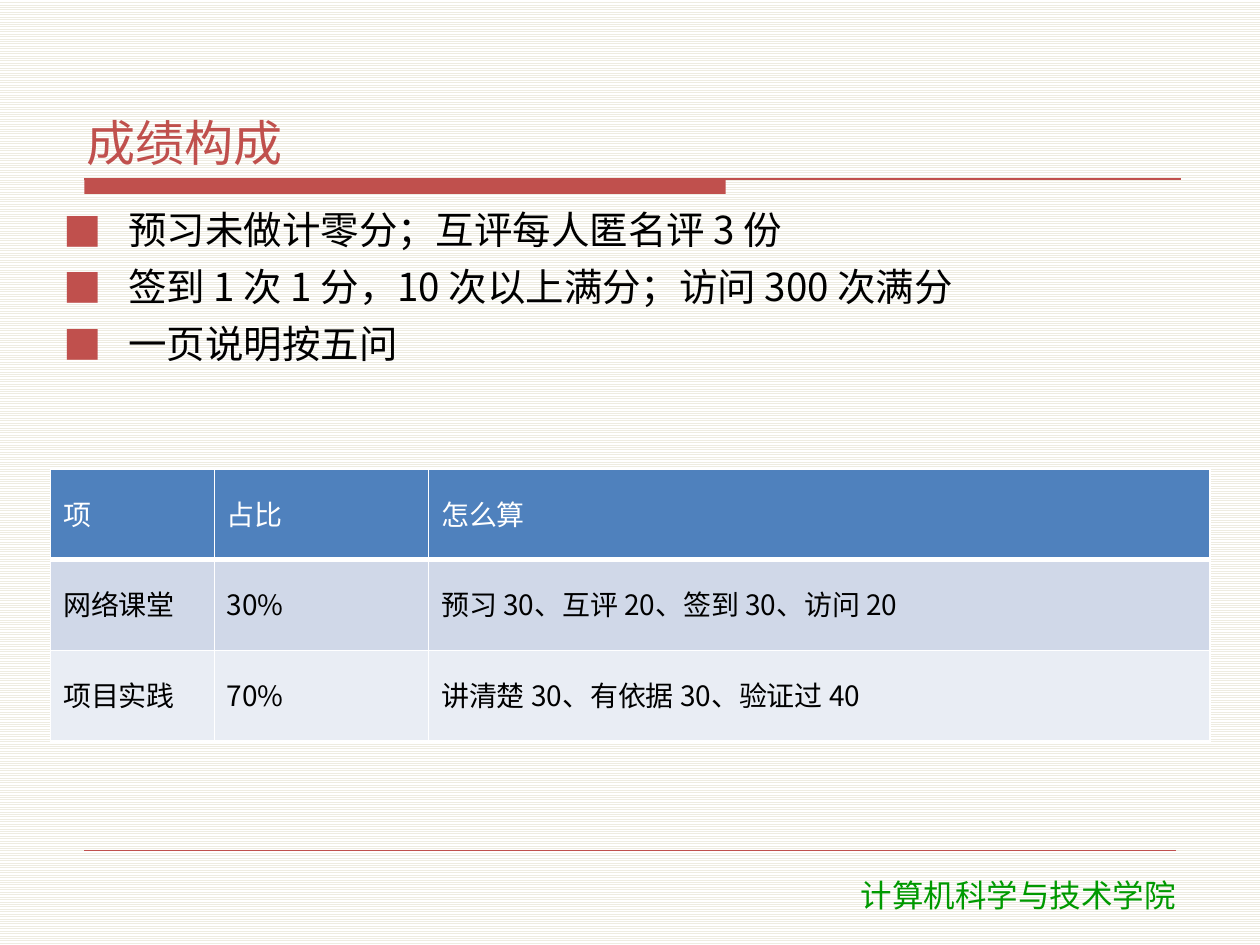
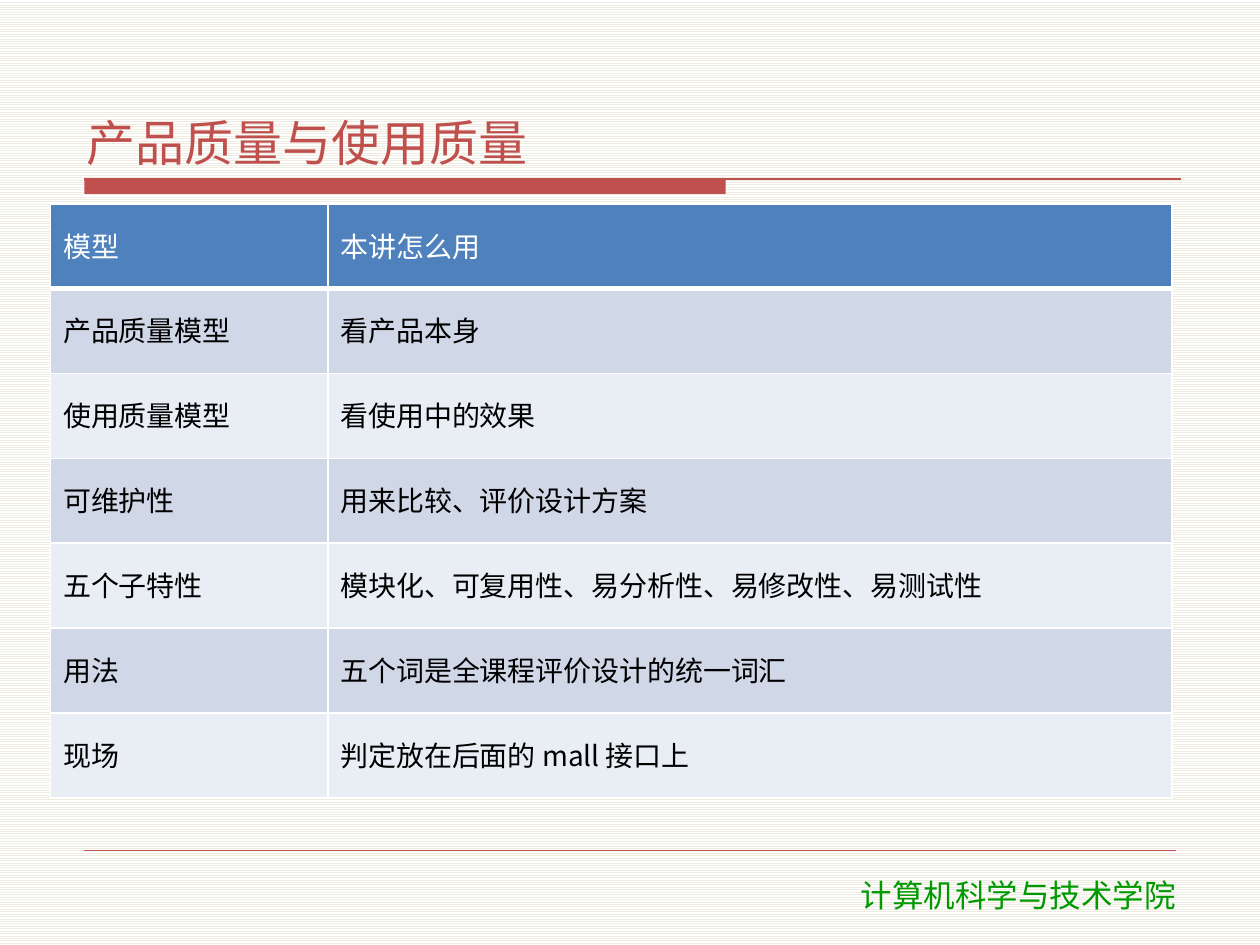
"""Build two course slides on grading and on quality models."""
import lxml.etree
import pptx
import pptx.dml.color
import pptx.enum.dml
import pptx.enum.shapes
import pptx.enum.text
import pptx.oxml.ns
import pptx.util

Cm = pptx.util.Cm
Pt = pptx.util.Pt
qn = pptx.oxml.ns.qn
ANCHOR = pptx.enum.text.MSO_ANCHOR
ALIGN = pptx.enum.text.PP_ALIGN

COLORS = {
    "accent": "C0504D",
    "stripe": "EEECE1",
    "white": "FFFFFF",
    "black": "000000",
    "school": "009900",
    "header": "4F81BD",
    "odd": "D0D8E8",
    "even": "E9EDF4",
}
FONT = "Noto Sans CJK SC"
FOOTER_FONT = "DejaVu Sans"


def rgb(name):
    return pptx.dml.color.RGBColor.from_string(COLORS[name])


def add_node(parent, tag, **attributes):
    return lxml.etree.SubElement(parent, qn(tag), attributes)


def add_color(parent, name):
    add_node(parent, "a:srgbClr", val=COLORS[name])


def write_text(frame, text, size=16, color="black", font=FONT, align=ALIGN.LEFT,
               anchor=ANCHOR.TOP, before=0, after=0, spacing=None, indent=None):
    frame.word_wrap = True
    frame.vertical_anchor = anchor
    for index, line in enumerate(text.split("\n")):
        paragraph = frame.add_paragraph() if index else frame.paragraphs[0]
        paragraph.alignment = align
        paragraph.space_before = Pt(before if index else 0)
        paragraph.space_after = Pt(after)
        if spacing:
            paragraph.line_spacing = spacing
        if indent:
            props = paragraph._p.get_or_add_pPr()
            props.set("marL", str(indent))
            props.set("indent", str(-indent))
            add_color(add_node(props, "a:buClr"), "accent")
            add_node(props, "a:buFont", typeface=FONT)
            add_node(props, "a:buChar", char="■")
        run = paragraph.add_run()
        run.text = line
        run.font.size = Pt(size)
        run.font.bold = False
        run.font.color.rgb = rgb(color)
        run.font.name = font
        add_node(run._r.get_or_add_rPr(), "a:ea", typeface=font)


class Deck:
    """Hold the presentation style and the current slide."""

    def __init__(self):
        self.prs = pptx.Presentation()
        self.prs.slide_width = Cm(25.4)
        self.prs.slide_height = Cm(19.05)
        self.slide = None

    def start_slide(self, title):
        self.slide = self.prs.slides.add_slide(self.prs.slide_layouts[6])
        background = self.slide.background.fill
        background.patterned()
        background.pattern = pptx.enum.dml.MSO_PATTERN.LIGHT_HORIZONTAL
        background.fore_color.rgb = rgb("stripe")
        background.back_color.rgb = rgb("white")
        self.bar(1.7, 3.61, 12.93, 0.3)
        self.rule(1.7, 23.8, 3.61, 0.75)
        self.rule(1.7, 23.7, 17.15, 0.25)
        self.text("计算机科学与技术学院", 15.42, 17.53, 10.21, 1.02, (0.25, 0.13),
                  size=18, color="school", font=FOOTER_FONT, align=ALIGN.CENTER)
        self.text(title, 1.6, 0.84, 22.23, 2.67, size=28, color="accent",
                  anchor=ANCHOR.BOTTOM, after=2)

    def bar(self, left, top, width, height):
        bar = self.slide.shapes.add_shape(
            pptx.enum.shapes.MSO_SHAPE.RECTANGLE,
            Cm(left), Cm(top), Cm(width), Cm(height))
        bar.shadow.inherit = False
        bar.fill.solid()
        bar.fill.fore_color.rgb = rgb("accent")
        bar.line.fill.background()

    def rule(self, left, right, y, weight):
        rule = self.slide.shapes.add_connector(
            pptx.enum.shapes.MSO_CONNECTOR.STRAIGHT,
            Cm(left), Cm(y), Cm(right), Cm(y))
        rule.line.color.rgb = rgb("accent")
        rule.line.width = Pt(weight)
        add_node(rule._element.spPr, "a:effectLst")

    def text(self, text, left, top, width, height, inset=(0.15, 0.05), **text_format):
        box = self.slide.shapes.add_textbox(Cm(left), Cm(top), Cm(width), Cm(height))
        frame = box.text_frame
        frame.margin_left = frame.margin_right = Cm(inset[0])
        frame.margin_top = frame.margin_bottom = Cm(inset[1])
        write_text(frame, text, **text_format)

    def bullets(self, text, left, top, width, height):
        self.text(text, left, top, width, height, size=22, before=4, after=2,
                  indent=Cm(1.3))

    def table(self, rows, left, top, widths, row_height):
        table = self.slide.shapes.add_table(
            len(rows), len(widths), Cm(left), Cm(top),
            Cm(sum(widths)), Cm(row_height * len(rows))).table
        table.horz_banding = False
        for column, width in zip(table.columns, widths):
            column.width = Cm(width)
        for number, row in enumerate(rows):
            table.rows[number].height = Cm(row_height)
            fill = ("odd" if number % 2 else "even") if number else "header"
            for column, text in enumerate(row):
                self.cell(table.cell(number, column), text, fill)

    def cell(self, cell, text, fill):
        is_header = fill == "header"
        props = cell._tc.get_or_add_tcPr()
        for side in "LRTB":
            weight = 3 if is_header and side == "B" else 1
            border = add_node(props, f"a:ln{side}", w=str(Pt(weight)))
            add_color(add_node(border, "a:solidFill"), "white")
        cell.fill.solid()
        cell.fill.fore_color.rgb = rgb(fill)
        write_text(cell.text_frame, text, color="white" if is_header else "black",
                   after=2, spacing=0.9)
        cell.vertical_anchor = ANCHOR.MIDDLE


def main():
    deck = Deck()

    deck.start_slide("成绩构成")
    deck.bullets("预习未做计零分；互评每人匿名评 3 份\n"
                 "签到 1 次 1 分，10 次以上满分；访问 300 次满分\n"
                 "一页说明按五问", 1.14, 4.11, 23.11, 5.13)
    grading = [
        ("项", "占比", "怎么算"),
        ("网络课堂", "30%", "预习 30、互评 20、签到 30、访问 20"),
        ("项目实践", "70%", "讲清楚 30、有依据 30、验证过 40"),
    ]
    deck.table(grading, 1.02, 9.45, (3.3, 4.32, 15.75), 1.83)

    deck.start_slide("产品质量与使用质量")
    quality_models = [
        ("模型", "本讲怎么用"),
        ("产品质量模型", "看产品本身"),
        ("使用质量模型", "看使用中的效果"),
        ("可维护性", "用来比较、评价设计方案"),
        ("五个子特性", "模块化、可复用性、易分析性、易修改性、易测试性"),
        ("用法", "五个词是全课程评价设计的统一词汇"),
        ("现场", "判定放在后面的 mall 接口上"),
    ]
    deck.table(quality_models, 1.02, 4.11, (5.59, 17.02), 1.71)

    deck.prs.save("out.pptx")


if __name__ == "__main__":
    main()
